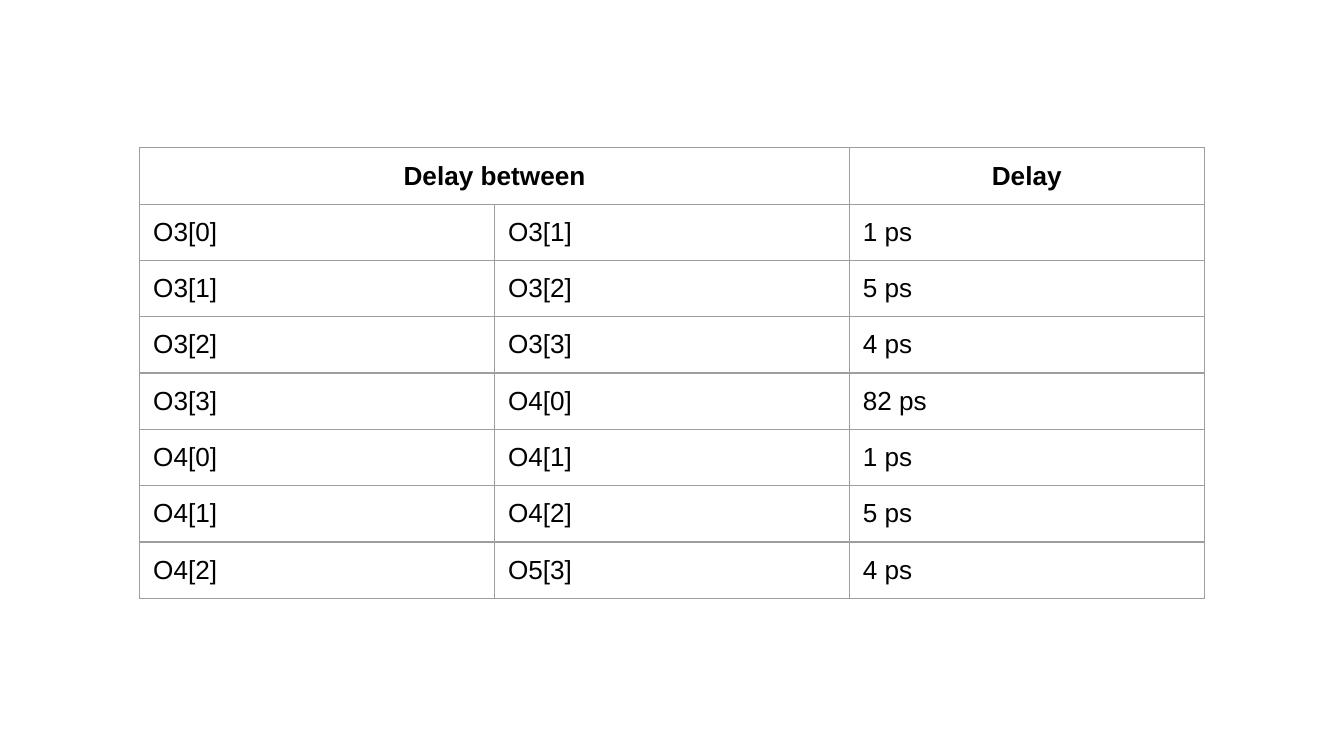
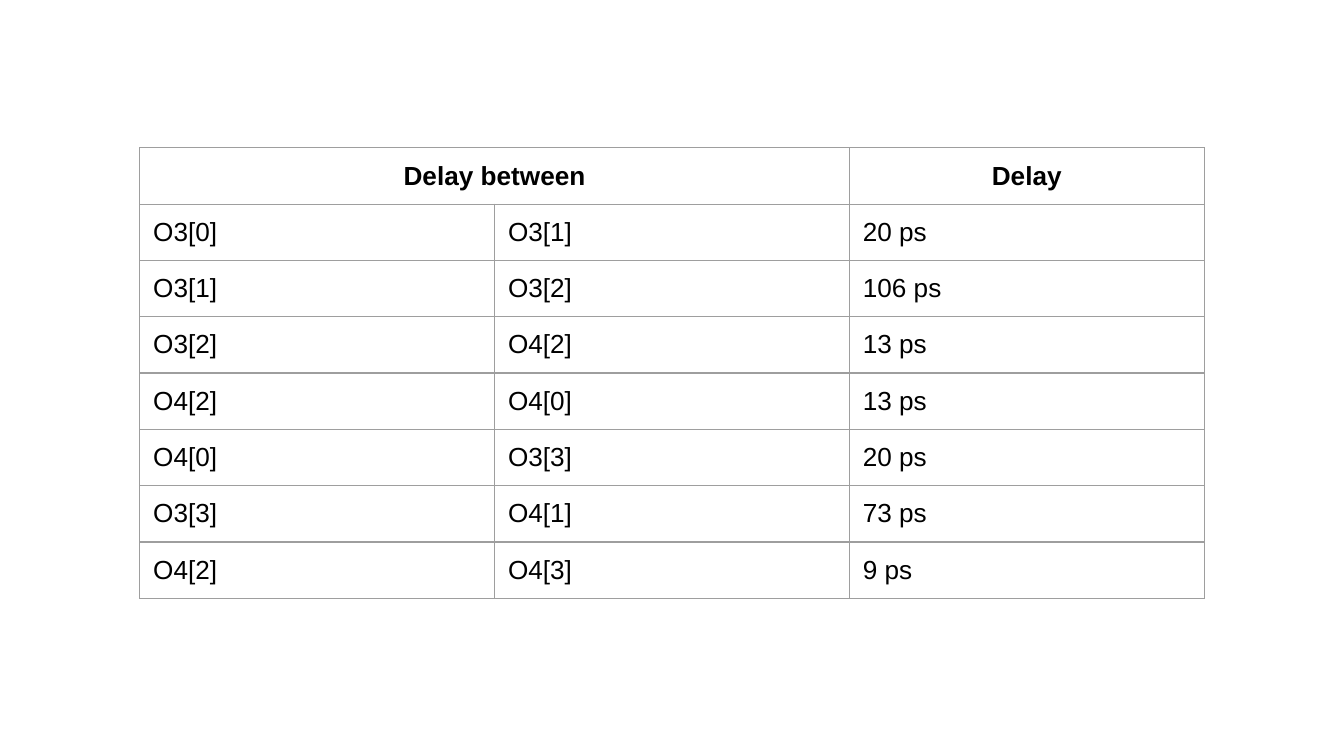
from lxml.etree import SubElement
from pptx import Presentation
from pptx.dml.color import RGBColor
from pptx.enum.text import PP_ALIGN as Align
from pptx.oxml.ns import qn
from pptx.util import Inches, Pt

# Shared style
PAGE_WIDTH = 10
PAGE_HEIGHT = PAGE_WIDTH * 9 / 16
GRID, INK, PAPER = "9E9E9E", "000000", "FFFFFF"
LEFT, TOP = 1.04, 1.1
COLUMN_WIDTH, ROW_HEIGHT = 2.64, 5 / 12
PADDING = 0.1
FONT = {"name": "Arial", "size": Pt(14)}
HEADER = ("Delay between", "", "Delay")

# From, to and delay, one table per slide
DELAY_TABLES = [
    [
        ("O3[0]", "O3[1]", "1 ps"),
        ("O3[1]", "O3[2]", "5 ps"),
        ("O3[2]", "O3[3]", "4 ps"),
        ("O3[3]", "O4[0]", "82 ps"),
        ("O4[0]", "O4[1]", "1 ps"),
        ("O4[1]", "O4[2]", "5 ps"),
        ("O4[2]", "O5[3]", "4 ps"),
    ],
    [
        ("O3[0]", "O3[1]", "20 ps"),
        ("O3[1]", "O3[2]", "106 ps"),
        ("O3[2]", "O4[2]", "13 ps"),
        ("O4[2]", "O4[0]", "13 ps"),
        ("O4[0]", "O3[3]", "20 ps"),
        ("O3[3]", "O4[1]", "73 ps"),
        ("O4[2]", "O4[3]", "9 ps"),
    ],
]


def color(value):
    return RGBColor.from_string(value)


def set_all(target, values):
    for name, value in values.items():
        setattr(target, name, value)


def add_borders(cell):
    properties = cell._tc.get_or_add_tcPr()
    for side in ("lnL", "lnR", "lnT", "lnB"):
        line = SubElement(properties, qn(f"a:{side}"), w=str(Pt(0.75)))
        fill = SubElement(line, qn("a:solidFill"))
        SubElement(fill, qn("a:srgbClr"), val=GRID)


def format_cell(cell, text, is_header):
    sides = ("left", "right", "top", "bottom")
    set_all(cell, {f"margin_{side}": Inches(PADDING) for side in sides})
    add_borders(cell)
    cell.fill.background()
    para = cell.text_frame.paragraphs[0]
    para.alignment = Align.CENTER if is_header else Align.LEFT
    set_all(para.font, FONT)
    if text:
        span = para.add_run()
        span.text = text
        set_all(span.font, {**FONT, "bold": is_header})
        span.font.color.rgb = color(INK)


def add_delay_table(page, delays):
    rows = [HEADER, *delays]
    frame = page.shapes.add_table(
        len(rows), len(HEADER), Inches(LEFT), Inches(TOP),
        Inches(COLUMN_WIDTH * len(HEADER)), Inches(ROW_HEIGHT * len(rows)))
    table = frame.table
    set_all(table, {"first_row": False, "horz_banding": False})
    for column in table.columns:
        column.width = Inches(COLUMN_WIDTH)
    for r, texts in enumerate(rows):
        table.rows[r].height = Inches(ROW_HEIGHT)
        for c, text in enumerate(texts):
            format_cell(table.cell(r, c), text, is_header=r == 0)
    # The first heading covers both end points
    table.cell(0, 0).merge(table.cell(0, 1))


def main():
    deck = Presentation()
    set_all(deck, {"slide_width": Inches(PAGE_WIDTH),
                   "slide_height": Inches(PAGE_HEIGHT)})
    blank = deck.slide_layouts[6]
    for delays in DELAY_TABLES:
        page = deck.slides.add_slide(blank)
        background = page.background.fill
        background.solid()
        background.fore_color.rgb = color(PAPER)
        add_delay_table(page, delays)
    deck.save("out.pptx")


if __name__ == "__main__":
    main()
